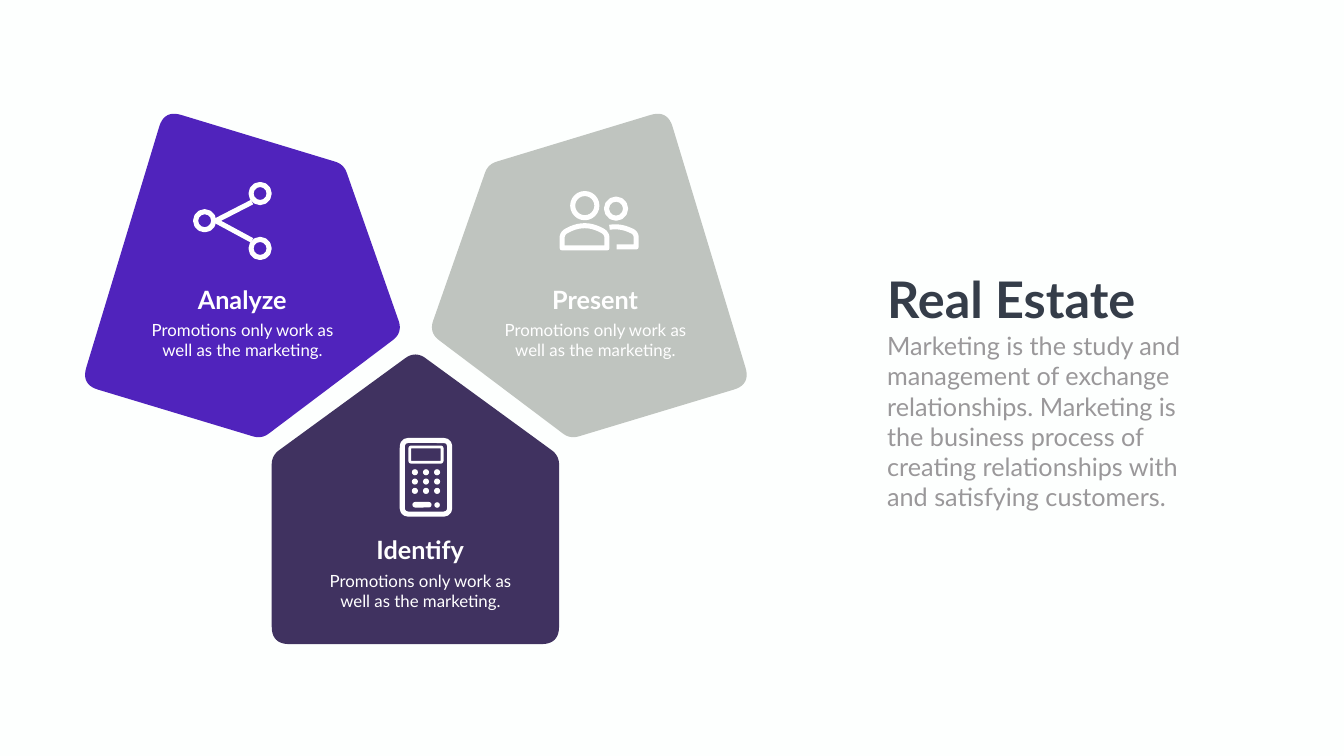
import math
import pptx
import pptx.dml.color
import pptx.enum.shapes
import pptx.enum.text
import pptx.oxml
import pptx.oxml.ns
import pptx.util

COLS, ROWS = 26.66, 15
CELL = pptx.util.Inches(1)
KIND = pptx.enum.shapes.MSO_SHAPE
ALIGN = pptx.enum.text.PP_ALIGN
WHITE, INK, GRAY = "FFFFFF", "353D49", "9A989A"
VIOLET, SILVER, PLUM = "5023BC", "BFC4BF", "403260"
STROKE = 7.2
HEAD = {"size": pptx.util.Pt(36), "bold": True, "name": "Lato"}
BODY = {"size": pptx.util.Pt(24), "bold": False, "name": "Lato"}
TITLE = {**HEAD, "size": pptx.util.Pt(72)}
LEAD = {**BODY, "size": pptx.util.Pt(36)}


def color(text):
    return pptx.dml.color.RGBColor.from_string(text)


def cells(*nums):
    return [round(num * CELL) for num in nums]


def bend(pts, closed, steps=10):
    """Round each corner (x, y, trim) with a quadratic curve."""
    out = []
    for i, (x, y, trim) in enumerate(pts):
        if not trim:
            out.append((x, y))
            continue
        ends = []
        for px, py, _ in (pts[i - 1], pts[(i + 1) % len(pts)]):
            part = trim / math.dist((x, y), (px, py))
            ends.append((x + (px - x) * part, y + (py - y) * part))
        (ax, ay), (bx, by) = ends
        for n in range(steps + 1):
            t = n / steps
            u = 1 - t
            out.append((u * u * ax + 2 * u * t * x + t * t * bx,
                        u * u * ay + 2 * u * t * y + t * t * by))
    return out + out[:1] if closed else out


class Deck:
    def __init__(self, back):
        self.show = pptx.Presentation()
        self.show.slide_width, self.show.slide_height = cells(COLS, ROWS)
        self.slide = self.show.slides.add_slide(self.show.slide_layouts[6])
        fill = self.slide.background.fill
        fill.solid()
        fill.fore_color.rgb = color(back)

    def paint(self, shape, fill=None, width=0):
        shape.shadow.inherit = False
        if fill:
            shape.fill.solid()
            shape.fill.fore_color.rgb = color(fill)
        else:
            shape.fill.background()
        if width:
            self.trace(shape, width)
        else:
            shape.line.fill.background()

    def trace(self, shape, width):
        shape.line.color.rgb = color(WHITE)
        shape.line.width = pptx.util.Pt(width)
        line = shape._element.spPr.find(pptx.oxml.ns.qn("a:ln"))
        line.append(pptx.oxml.parse_xml(
            "<a:round %s/>" % pptx.oxml.ns.nsdecls("a")))

    def form(self, pts, closed=True, **look):
        first, *rest = [cells(*pt) for pt in bend(pts, closed)]
        pen = self.slide.shapes.build_freeform(*first)
        pen.add_line_segments(rest, close=closed)
        self.paint(pen.convert_to_shape(), **look)

    def box(self, x, y, w, h, curve, **look):
        shape = self.slide.shapes.add_shape(
            KIND.ROUNDED_RECTANGLE, *cells(x, y, w, h))
        shape.adjustments[0] = curve
        self.paint(shape, **look)

    def disc(self, x, y, size, **look):
        shape = self.slide.shapes.add_shape(
            KIND.OVAL, *cells(x - size / 2, y - size / 2, size, size))
        self.paint(shape, **look)

    def link(self, *ends):
        line = self.slide.shapes.add_connector(
            pptx.enum.shapes.MSO_CONNECTOR.STRAIGHT, *cells(*ends))
        self.trace(line, STROKE)
        line._element.spPr.append(pptx.oxml.parse_xml(
            "<a:effectLst %s/>" % pptx.oxml.ns.nsdecls("a")))

    def text(self, words, place, style, hue=WHITE, align=ALIGN.CENTER,
             wrap=True):
        frame = self.slide.shapes.add_textbox(*cells(*place)).text_frame
        frame.word_wrap = wrap
        frame.auto_size = pptx.enum.text.MSO_AUTO_SIZE.SHAPE_TO_FIT_TEXT
        para = frame.paragraphs[0]
        para.alignment = align
        run = para.add_run()
        run.text = words
        for key, value in style.items():
            setattr(run.font, key, value)
        run.font.color.rgb = color(hue)


def main():
    deck = Deck("FDFFFE")

    # Three rounded pentagons; the left one mirrors the right one
    house = [(8.24, 6.96, .25), (11.09, 9.04, .18), (11.09, 12.78, .35),
             (5.39, 12.78, .35), (5.39, 9.04, .18)]
    right = [(8.51, 6.6, .25), (11.31, 8.71, .18), (14.89, 7.63, .35),
             (13.24, 2.18, .35), (9.68, 3.26, .18)]
    left = [(16.5 - x, y, trim) for x, y, trim in right]
    for pts, hue in ((house, PLUM), (right, SILVER), (left, VIOLET)):
        deck.form(pts, fill=hue)

    # Calculator icon
    deck.box(7.98, 8.74, .94, 1.46, .12, width=STROKE)
    deck.box(8.13, 8.87, .64, .3, .08, width=4)
    for row in range(3):
        for col in range(3):
            deck.disc(8.23 + .22 * col, 9.37 + .185 * row, .12, fill=WHITE)
    deck.box(8.18, 9.96, .38, .11, .5, fill=WHITE)
    deck.disc(8.67, 10.02, .11, fill=WHITE)

    # Share icon
    for x, y in ((4.06, 4.38), (5.16, 3.84), (5.16, 4.93)):
        deck.disc(x, y, .36, width=STROKE)
    for y in (4.01, 4.77):
        deck.link(4.28, 4.38, 5, y)

    # People icon
    deck.disc(11.6, 4.08, .48, width=STROKE)
    deck.disc(12.22, 4.14, .38, width=STROKE)
    deck.form([(11.15, 4.92, 0), (11.15, 4.63, .1), (11.6, 4.38, .4),
               (12.04, 4.63, .1), (12.04, 4.92, 0)], width=STROKE)
    deck.form([(12.23, 4.9, 0), (12.62, 4.9, 0), (12.62, 4.62, .1),
               (12.3, 4.48, .2), (12.09, 4.51, 0)],
              closed=False, width=STROKE)

    # Captions
    blurb = "Promotions only work as well as the marketing."
    for name, x, y in (("Analyze", 2.8, 5.59), ("Present", 9.8, 5.59),
                       ("Identify", 6.33, 10.56)):
        deck.text(name, (x + .7, y, 2.61, .71), HEAD)
        deck.text(blurb, (x, y + .71, 4.02, .91), BODY)

    # Title and lead
    deck.text("Real Estate", (17.5, 5.27, 5.26, 1.31), TITLE, INK,
              ALIGN.LEFT, wrap=False)
    deck.text("Marketing is the study and management of exchange "
              "relationships. Marketing is the business process of creating "
              "relationships with and satisfying customers.",
              (17.5, 6.51, 6.54, 3.74), LEAD, GRAY, ALIGN.LEFT)

    deck.show.save("out.pptx")


if __name__ == "__main__":
    main()
